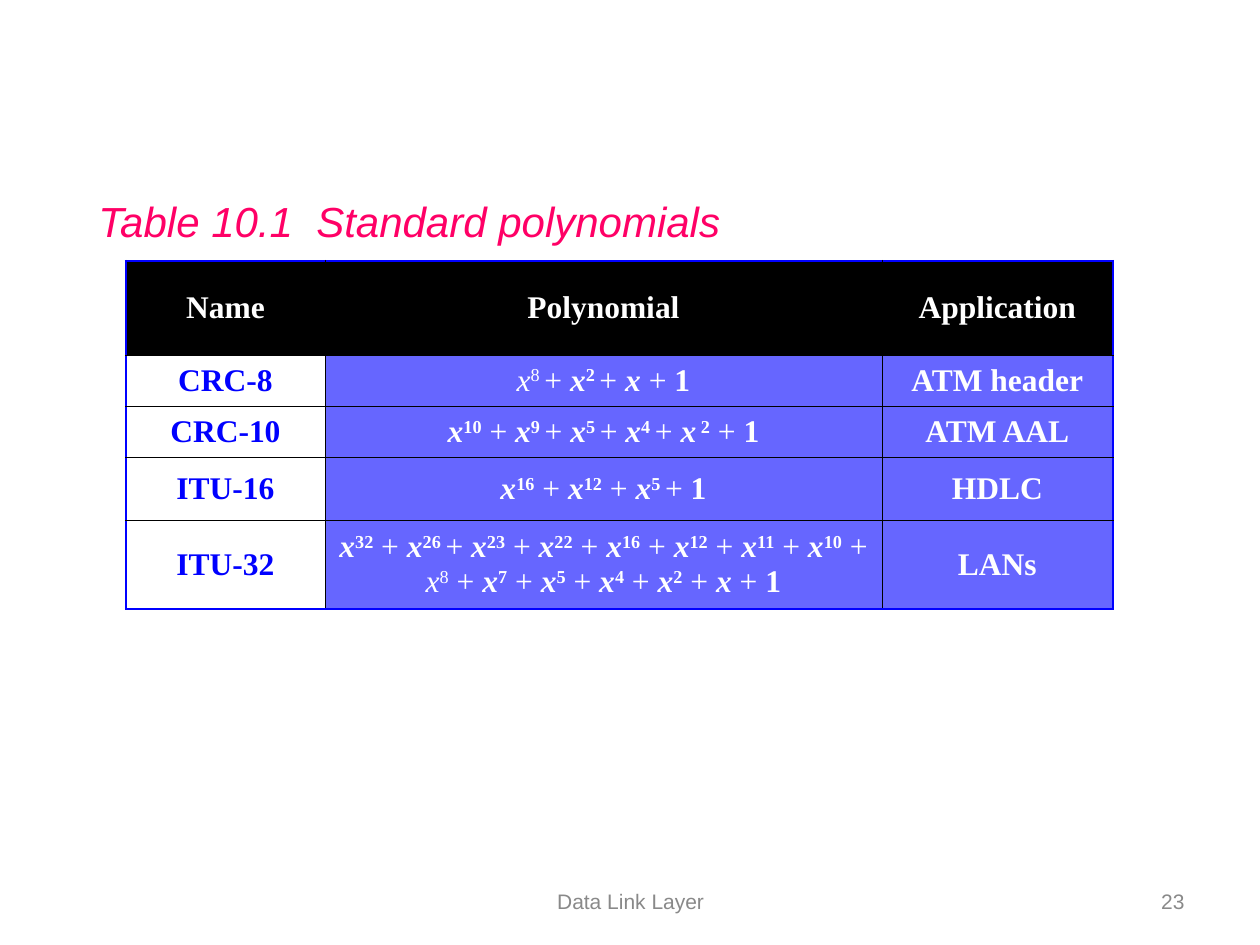
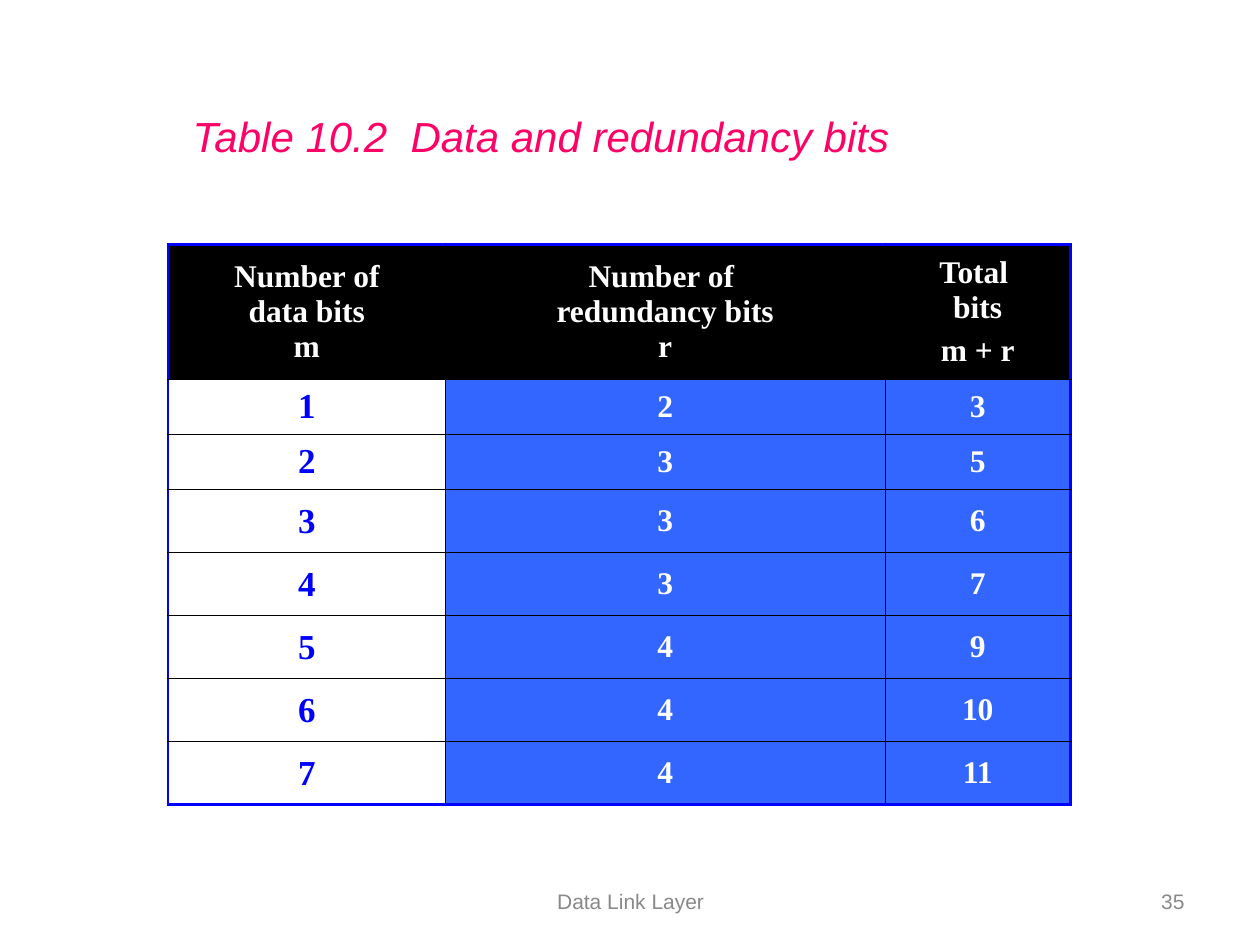
from typing import NamedTuple

import pptx
import pptx.dml.color
import pptx.enum.text
import pptx.oxml.ns
import pptx.util
from lxml import etree

Cm = pptx.util.Cm
Pt = pptx.util.Pt
RGBColor = pptx.dml.color.RGBColor
Align = pptx.enum.text.PP_ALIGN
Anchor = pptx.enum.text.MSO_ANCHOR

PINK = RGBColor(0xFF, 0x00, 0x66)
BLACK = RGBColor(0x00, 0x00, 0x00)
WHITE = RGBColor(0xFF, 0xFF, 0xFF)
BLUE = RGBColor(0x00, 0x00, 0xFF)
VIOLET = RGBColor(0x66, 0x66, 0xFF)
ROYAL = RGBColor(0x33, 0x66, 0xFF)
GRAY = RGBColor(0x89, 0x89, 0x89)

HEADING_FONT = "Arial"
TABLE_FONT = "Times New Roman"
TITLE_ONLY = 5
FRAME_WIDTH = Pt(1.47)
GRID_WIDTH = Pt(0.45)


class TextStyle(NamedTuple):
    font: str
    size: float
    color: RGBColor
    bold: bool = False
    italic: bool = False


class Run(NamedTuple):
    text: str
    bold: bool = True
    italic: bool = False
    superscript: bool = False


class Term(NamedTuple):
    """A power of x; a trailing space in the exponent is raised with it."""
    exponent: str = ""
    bold: bool = True


class Box(NamedTuple):
    left: float
    top: float
    width: float
    height: float


Paragraph = list[Run]
Cell = list[Paragraph]


class TableSlide(NamedTuple):
    title: str
    title_box: Box
    number: str
    left: float
    top: float
    column_widths: list[float]
    row_heights: list[float]
    rows: list[list[Cell]]
    body_fill: RGBColor
    key_size: float


TITLE_STYLE = TextStyle(HEADING_FONT, 24, PINK, italic=True)
FOOTER_STYLE = TextStyle(HEADING_FONT, 12, GRAY)
CELL_STYLE = TextStyle(TABLE_FONT, 18, WHITE, bold=True)
FOOTER_BOX = Box(8.69, 17.65, 8.05, 1.02)
NUMBER_BOX = Box(18.21, 17.65, 5.92, 1.02)


def cell(*paragraphs: str) -> Cell:
    return [[Run(text)] for text in paragraphs]


def polynomial(*terms: Term) -> Cell:
    """Write the terms as a sum that ends in + 1."""
    runs: Paragraph = []
    for term in terms:
        runs.append(Run("x", term.bold, italic=True))
        if term.exponent:
            runs.append(Run(term.exponent, term.bold, superscript=True))
        plus = "+ " if term.exponent.endswith(" ") else " + "
        runs.append(Run(plus, bold=False))
    return [runs + [Run("1")]]


def add_run(paragraph, text: str, style: TextStyle, superscript: bool = False) -> None:
    """Add styled text, turning line ends into line breaks."""
    for index, line in enumerate(text.split("\n")):
        if index:
            paragraph.add_line_break()
        run = paragraph.add_run()
        run.text = line
        run.font.name = style.font
        run.font.size = Pt(style.size)
        run.font.color.rgb = style.color
        run.font.bold = style.bold
        run.font.italic = style.italic
        if superscript:
            run.font._element.set("baseline", "30000")


def add_title(slide, text: str, box: Box) -> None:
    title = slide.shapes.title
    title.left, title.top, title.width, title.height = map(Cm, box)
    frame = title.text_frame
    frame.word_wrap = False
    frame.auto_size = pptx.enum.text.MSO_AUTO_SIZE.SHAPE_TO_FIT_TEXT
    frame.vertical_anchor = Anchor.TOP
    paragraph = frame.paragraphs[0]
    paragraph.alignment = Align.LEFT
    add_run(paragraph, text, TITLE_STYLE)


def add_footer_text(slide, text: str, box: Box, alignment: Align) -> None:
    frame = slide.shapes.add_textbox(*map(Cm, box)).text_frame
    frame.word_wrap = True
    frame.vertical_anchor = Anchor.MIDDLE
    paragraph = frame.paragraphs[0]
    paragraph.alignment = alignment
    add_run(paragraph, text, FOOTER_STYLE)


def add_border(table_cell, side: str, on_frame: bool) -> None:
    """Draw one side of a cell, blue where it lies on the table's frame."""
    qn = pptx.oxml.ns.qn
    properties = table_cell._tc.get_or_add_tcPr()
    width = FRAME_WIDTH if on_frame else GRID_WIDTH
    line = etree.SubElement(properties, qn(f"a:ln{side}"), w=str(int(width)))
    fill = etree.SubElement(line, qn("a:solidFill"))
    color = BLUE if on_frame else BLACK
    etree.SubElement(fill, qn("a:srgbClr"), val=str(color))


def fill_cell(table_cell, content: Cell, fill: RGBColor, style: TextStyle) -> None:
    table_cell.fill.solid()
    table_cell.fill.fore_color.rgb = fill
    table_cell.vertical_anchor = Anchor.MIDDLE
    frame = table_cell.text_frame
    for index, runs in enumerate(content):
        paragraph = frame.add_paragraph() if index else frame.paragraphs[0]
        paragraph.alignment = Align.CENTER
        if index:
            paragraph.space_before = Pt(4.5)
        for run in runs:
            run_style = style._replace(bold=run.bold, italic=run.italic)
            add_run(paragraph, run.text, run_style, run.superscript)


def add_table(slide, content: TableSlide) -> None:
    widths, heights = content.column_widths, content.row_heights
    table = slide.shapes.add_table(
        len(heights), len(widths), Cm(content.left), Cm(content.top),
        Cm(sum(widths)), Cm(sum(heights))).table
    table.horz_banding = False
    for column, width in zip(table.columns, widths):
        column.width = Cm(width)
    for row, height in zip(table.rows, heights):
        row.height = Cm(height)

    last_row, last_column = len(heights) - 1, len(widths) - 1
    key_style = CELL_STYLE._replace(size=content.key_size, color=BLUE)
    for row_index, row_cells in enumerate(content.rows):
        for column_index, cell_content in enumerate(row_cells):
            table_cell = table.cell(row_index, column_index)
            add_border(table_cell, "L", column_index == 0)
            add_border(table_cell, "R", column_index == last_column)
            add_border(table_cell, "T", row_index == 0)
            add_border(table_cell, "B", row_index == last_row)
            if row_index == 0:
                fill, style = BLACK, CELL_STYLE
            elif column_index == 0:
                fill, style = WHITE, key_style
            else:
                fill, style = content.body_fill, CELL_STYLE
            fill_cell(table_cell, cell_content, fill, style)


def add_table_slide(presentation, content: TableSlide) -> None:
    slide = presentation.slides.add_slide(presentation.slide_layouts[TITLE_ONLY])
    add_title(slide, content.title, content.title_box)
    add_table(slide, content)
    add_footer_text(slide, content.number, NUMBER_BOX, Align.RIGHT)
    add_footer_text(slide, "Data Link Layer", FOOTER_BOX, Align.CENTER)


CRC_8 = polynomial(Term("8 ", bold=False), Term("2 "), Term())
CRC_10 = polynomial(*map(Term, ["10", "9 ", "5 ", "4 ", " 2"]))
ITU_16 = polynomial(*map(Term, ["16", "12", "5 "]))
ITU_32 = polynomial(
    *map(Term, ["32", "26 ", "23", "22", "16", "12", "11", "10"]),
    Term("8", bold=False),
    *map(Term, ["7", "5", "4", "2", ""]))

POLYNOMIALS = TableSlide(
    title="Table 10.1  Standard polynomials",
    title_box=Box(1.73, 3.81, 13.11, 1.27),
    number="23",
    left=2.54,
    top=5.26,
    column_widths=[4.01, 11.23, 4.65],
    row_heights=[1.9, 1.03, 1.03, 1.27, 1.78],
    rows=[
        [cell("Name"), cell("Polynomial"), cell("Application")],
        [cell("CRC-8"), CRC_8, cell("ATM header")],
        [cell("CRC-10"), CRC_10, cell("ATM AAL")],
        [cell("ITU-16"), ITU_16, cell("HDLC")],
        [cell("ITU-32"), ITU_32, cell("LANs")],
    ],
    body_fill=VIOLET,
    key_size=18,
)

REDUNDANCY_BITS = [2, 3, 3, 3, 4, 4, 4]

BIT_COUNTS = TableSlide(
    title="Table 10.2  Data and redundancy bits",
    title_box=Box(3.63, 2.11, 14.63, 1.27),
    number="35",
    left=3.39,
    top=4.93,
    column_widths=[5.59, 8.86, 3.74],
    row_heights=[2.72] + [1.11] * 2 + [1.27] * 5,
    rows=[
        [cell("Number of\ndata bits\nm"),
         cell("Number of \nredundancy bits\nr"),
         cell("Total \nbits", "m + r")],
        *([cell(str(data)), cell(str(redundancy)), cell(str(data + redundancy))]
          for data, redundancy in enumerate(REDUNDANCY_BITS, start=1)),
    ],
    body_fill=ROYAL,
    key_size=20,
)


def main() -> None:
    presentation = pptx.Presentation()
    presentation.slide_width = Cm(25.4)
    presentation.slide_height = Cm(19.05)
    for content in (POLYNOMIALS, BIT_COUNTS):
        add_table_slide(presentation, content)
    presentation.save("out.pptx")


if __name__ == "__main__":
    main()
